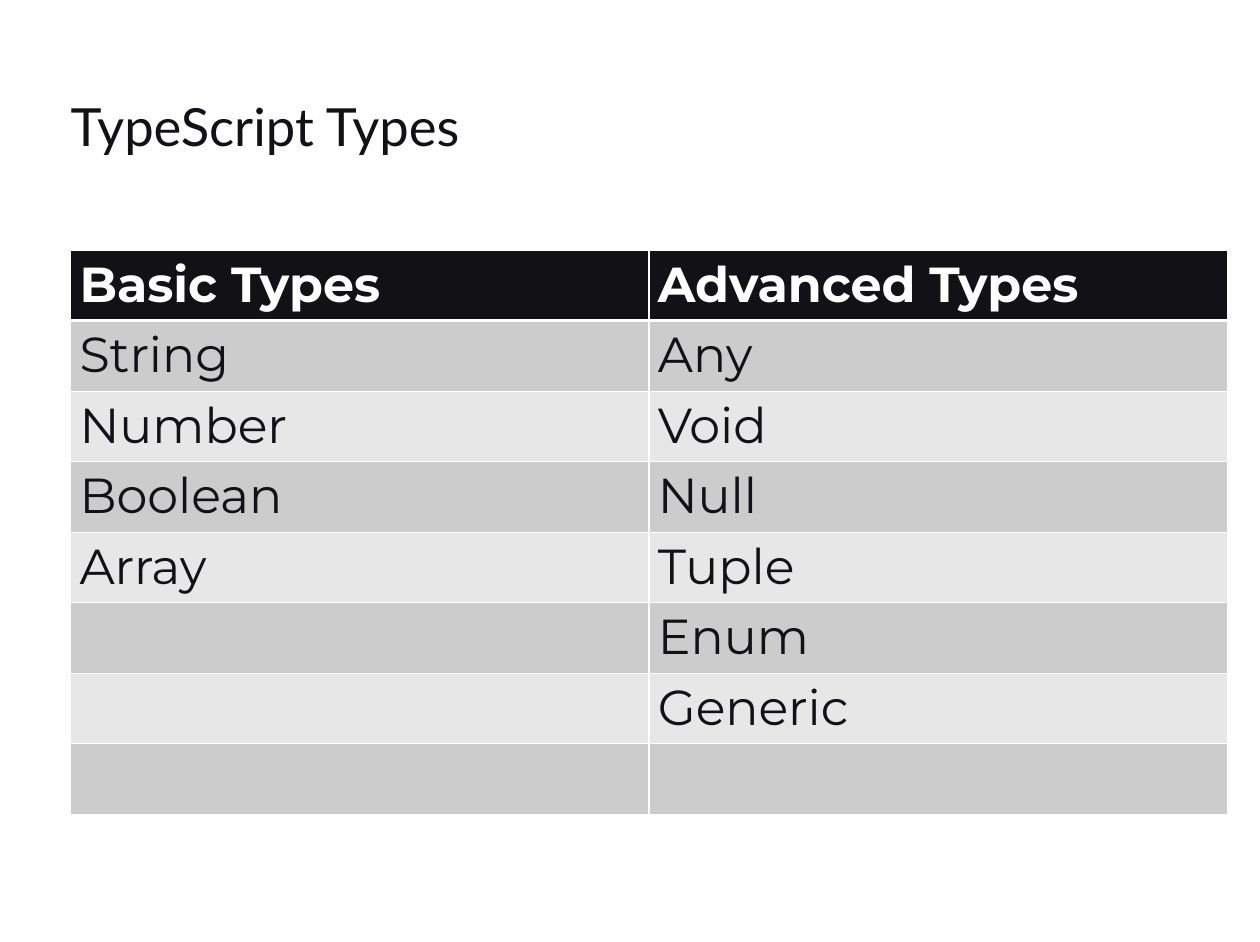
from itertools import zip_longest

from lxml.etree import SubElement
from pptx import Presentation
from pptx.dml.color import RGBColor
from pptx.enum.text import MSO_ANCHOR, MSO_AUTO_SIZE, PP_ALIGN
from pptx.oxml.ns import qn
from pptx.util import Inches, Pt

TOP, LEFT, NO_FIT = MSO_ANCHOR.TOP, PP_ALIGN.LEFT, MSO_AUTO_SIZE.NONE
TITLE_ONLY = 5

TITLE = "TypeScript Types"
TYPES = {
    "Basic Types": ["String", "Number", "Boolean", "Array"],
    "Advanced Types": ["Any", "Void", "Null", "Tuple", "Enum", "Generic"],
}
ROW_COUNT = 8

THEME = {
    "title": {"name": "Lato", "size": Pt(42.8), "bold": False, "color": "121116"},
    "header": {"name": "Montserrat", "size": Pt(40), "bold": True, "color": "FFFFFF"},
    "body": {"name": "Montserrat", "size": Pt(40), "bold": False, "color": "121116"},
    "header_fill": "121116",
    "bands": ("CCCCCC", "E7E7E8"),
    "border": "FFFFFF",
    "thin": Pt(1),
    "thick": Pt(3),
}
TITLE_BOX = {"left": Inches(0.8), "top": Inches(1.06),
             "width": Inches(12.65), "height": Inches(0.96)}
TABLE_BOX = {"left": Inches(0.8), "top": Inches(2.83),
             "width": Inches(13.08), "height": Inches(6.38)}
TITLE_FRAME = {"margin_left": 0, "margin_top": 0, "margin_right": 0,
               "margin_bottom": 0, "vertical_anchor": TOP,
               "auto_size": NO_FIT, "word_wrap": True}


def set_attributes(target, values):
    """Set every attribute in values on target."""
    for name, value in values.items():
        setattr(target, name, value)


def write_text(text_frame, text, style):
    """Write one left-aligned paragraph in a theme style."""
    paragraph = text_frame.paragraphs[0]
    paragraph.alignment = LEFT
    run = paragraph.add_run()
    run.text = text
    values = dict(THEME[style])
    run.font.color.rgb = RGBColor.from_string(values.pop("color"))
    set_attributes(run.font, values)


def add_borders(cell, row):
    """Draw the cell borders, thick between header and body."""
    properties = cell._tc.get_or_add_tcPr()
    thick_side = {0: "lnB", 1: "lnT"}.get(row)
    for side in ("lnL", "lnR", "lnT", "lnB"):
        width = THEME["thick" if side == thick_side else "thin"]
        line = SubElement(properties, qn(f"a:{side}"), w=str(int(width)))
        fill = SubElement(line, qn("a:solidFill"))
        SubElement(fill, qn("a:srgbClr"), val=THEME["border"])


def add_title(slide):
    """Place and fill the title placeholder."""
    title = slide.shapes.title
    set_attributes(title, TITLE_BOX)
    set_attributes(title.text_frame, TITLE_FRAME)
    write_text(title.text_frame, TITLE, "title")


def add_types_table(slide):
    """Add the table of types, one column per group."""
    table = slide.shapes.add_table(ROW_COUNT, len(TYPES), **TABLE_BOX).table
    columns = [[header, *names] for header, names in TYPES.items()]
    blank_rows = [""] * ROW_COUNT
    rows = list(zip_longest(*columns, blank_rows, fillvalue=""))
    for row, texts in enumerate(rows):
        fill = THEME["bands"][(row - 1) % 2] if row else THEME["header_fill"]
        for column, text in enumerate(texts[:len(TYPES)]):
            cell = table.cell(row, column)
            add_borders(cell, row)
            cell.fill.solid()
            cell.fill.fore_color.rgb = RGBColor.from_string(fill)
            if text:
                write_text(cell.text_frame, text, "body" if row else "header")


presentation = Presentation()
presentation.slide_width = Inches(14.25)
presentation.slide_height = Inches(10.65)
slide = presentation.slides.add_slide(presentation.slide_layouts[TITLE_ONLY])
add_title(slide)
add_types_table(slide)
presentation.save("out.pptx")
